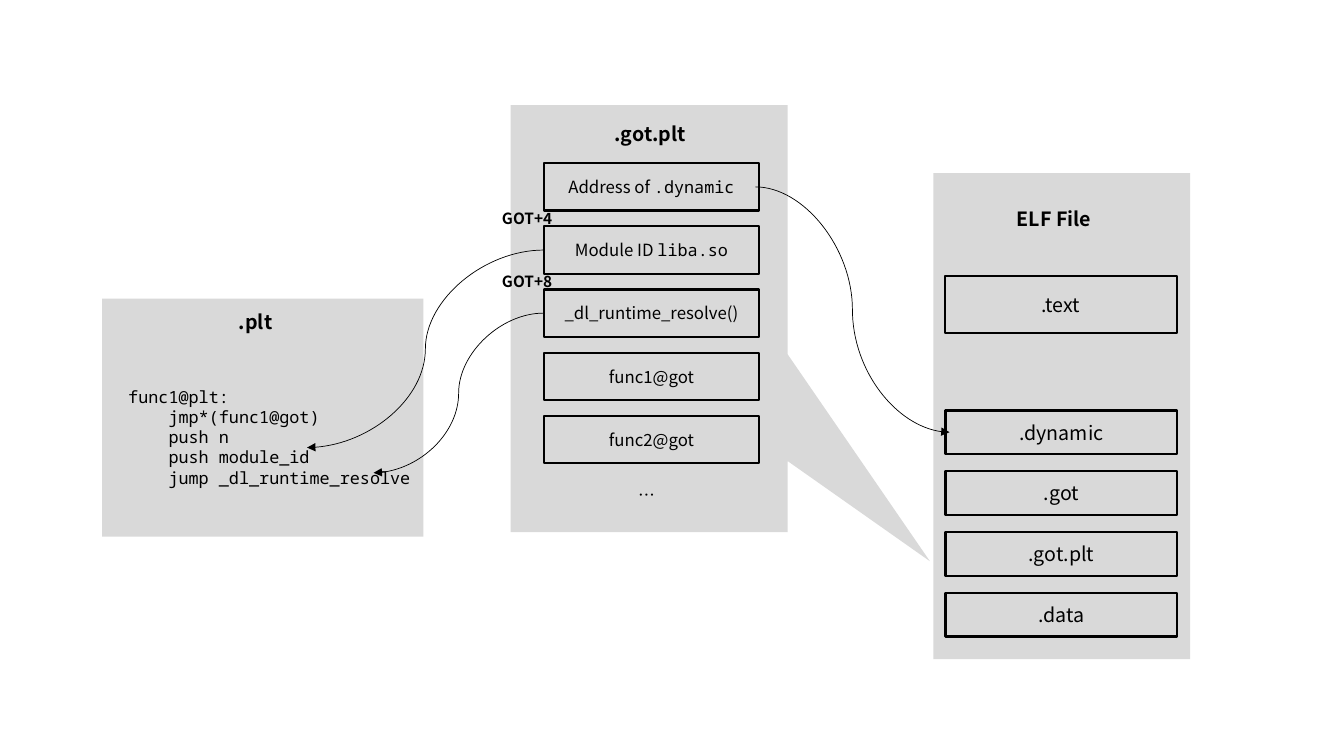
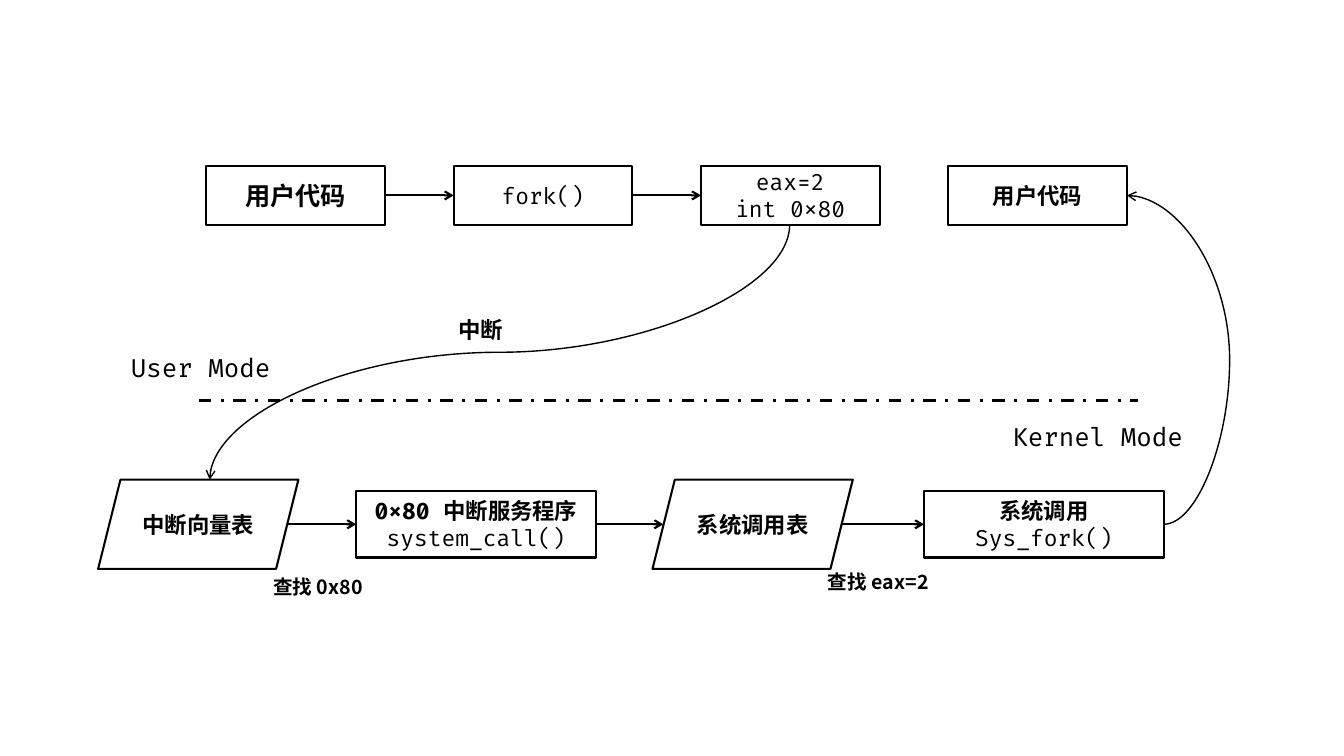
from dataclasses import dataclass

from lxml import etree
from pptx import Presentation
from pptx.dml.color import RGBColor
from pptx.enum.dml import MSO_LINE
from pptx.enum.shapes import MSO_CONNECTOR, MSO_SHAPE
from pptx.enum.text import MSO_ANCHOR, PP_ALIGN
from pptx.oxml.ns import qn
from pptx.util import Inches, Pt

WIDTH, HEIGHT = 13.33, 7.5
COL, ROW = WIDTH / 100, HEIGHT / 100  # a grid of 100 columns and 100 rows

BLACK = RGBColor(0, 0, 0)
GREY = RGBColor(0xD9, 0xD9, 0xD9)
SANS, MONO, CODE = "Noto Sans CJK SC", "Noto Sans Mono", "Fira Code"

RECT, SLANT = MSO_SHAPE.RECTANGLE, MSO_SHAPE.PARALLELOGRAM
CALLOUT = MSO_SHAPE.RECTANGULAR_CALLOUT
LINE, CURVE = MSO_CONNECTOR.STRAIGHT, MSO_CONNECTOR.CURVE
LEFT, CENTER = PP_ALIGN.LEFT, PP_ALIGN.CENTER
TOP, MIDDLE = MSO_ANCHOR.TOP, MSO_ANCHOR.MIDDLE
DASH = MSO_LINE.DASH_DOT


@dataclass(frozen=True)
class Box:
    """A frame in columns and rows."""
    x: float
    y: float
    w: float
    h: float

    @property
    def right(self) -> float:
        return self.x + self.w

    @property
    def mid(self) -> float:
        return self.y + self.h / 2

    def frame(self) -> tuple:
        return (Inches(self.x * COL), Inches(self.y * ROW),
                Inches(self.w * COL), Inches(self.h * ROW))


@dataclass(frozen=True)
class Run:
    """A piece of a line; None takes the format of the whole text."""
    text: str
    font: str | None = None
    bold: bool | None = None


@dataclass(frozen=True)
class Label:
    text: str
    box: Box
    size: float
    font: str = SANS
    bold: bool = True
    align: PP_ALIGN = CENTER


@dataclass(frozen=True)
class Step:
    """A box of the call flow; each line is a row of runs."""
    lines: tuple
    box: Box
    size: float = 16
    font: str = CODE
    bold: bool = False
    kind: MSO_SHAPE = RECT


def write(frame, lines, *, size: float, font: str = SANS, bold: bool = False,
          align: PP_ALIGN = CENTER, anchor: MSO_ANCHOR = TOP) -> None:
    """Fill a frame from a plain string or from rows of runs."""
    if isinstance(lines, str):
        lines = [(Run(line),) for line in lines.split("\n")]
    frame.word_wrap = True
    frame.vertical_anchor = anchor
    for i, line in enumerate(lines):
        para = frame.add_paragraph() if i else frame.paragraphs[0]
        para.alignment = align
        for part in line:
            run = para.add_run()
            run.text = part.text
            run.font.size = Pt(size)
            run.font.bold = bold if part.bold is None else part.bold
            run.font.color.rgb = BLACK
            run.font.name = part.font or font
            props = run._r.get_or_add_rPr()
            etree.SubElement(props, qn("a:ea"), typeface=SANS)


def label(slide, item: Label) -> None:
    box = slide.shapes.add_textbox(*item.box.frame())
    write(box.text_frame, item.text, size=item.size, font=item.font,
          bold=item.bold, align=item.align)


def panel(slide, box: Box, kind: MSO_SHAPE = RECT):
    """Draw a grey ground without an outline."""
    shape = slide.shapes.add_shape(kind, *box.frame())
    shape.shadow.inherit = False
    shape.fill.solid()
    shape.fill.fore_color.rgb = GREY
    shape.line.fill.background()
    return shape


def cell(slide, box: Box, lines, kind: MSO_SHAPE = RECT, **form) -> None:
    """Draw an outlined box with centred text."""
    shape = slide.shapes.add_shape(kind, *box.frame())
    shape.shadow.inherit = False
    shape.fill.background()
    shape.line.color.rgb = BLACK
    shape.line.width = Pt(1.5)
    write(shape.text_frame, lines, anchor=MIDDLE, **form)


def link(slide, start: tuple, end: tuple, *, kind: MSO_CONNECTOR = LINE,
         width: float = 1.5, head: str | None = "arrow", dash=None,
         bend: float | None = None, turn: bool = False) -> None:
    """Join two grid points; turn makes a curve leave downwards to the left."""
    ax, ay, bx, by = (start[0] * COL, start[1] * ROW,
                      end[0] * COL, end[1] * ROW)
    if turn:
        mx, my = (ax + bx) / 2, (ay + by) / 2
        dx, dy = (by - ay) / 2, (ax - bx) / 2
        ax, ay, bx, by = mx - dx, my - dy, mx + dx, my + dy
    line = slide.shapes.add_connector(kind, *map(Inches, (ax, ay, bx, by)))
    line.line.color.rgb = BLACK
    line.line.width = Pt(width)
    if dash:
        line.line.dash_style = dash
    props = line._element.spPr
    if head:
        etree.SubElement(props.find(qn("a:ln")), qn("a:tailEnd"), type=head)
    etree.SubElement(props, qn("a:effectLst"))
    if turn:
        props.find(qn("a:xfrm")).set("rot", str(90 * 60000))
    if bend is not None:
        guide = props.find(qn("a:prstGeom")).get_or_add_avLst()
        etree.SubElement(guide, qn("a:gd"), name="adj1",
                         fmla=f"val {round(bend * 100000)}")


def tables(slide) -> None:
    """Lazy binding: .plt, .got.plt and the ELF file."""
    panel(slide, Box(7.6, 39.5, 23.9, 31.5))
    got = panel(slide, Box(38, 13.9, 20.6, 56.5), CALLOUT)
    got.adjustments[0], got.adjustments[1] = 1.014, 0.568
    panel(slide, Box(69.45, 22.9, 19.1, 64.3))

    for text, x, y in ((".plt", 12.8, 40.3), (".got.plt", 42.15, 15.5),
                       ("ELF File", 72.2, 26.7)):
        label(slide, Label(text, Box(x, y, 12.45, 4.5), 14))

    parts = [Box(70.35, 54.3 + 8.05 * i, 17.25, 5.75) for i in range(4)]
    cell(slide, Box(70.3, 36.5, 17.25, 7.5), ".text", size=14)
    for box, text in zip(parts, (".dynamic", ".got", ".got.plt", ".data")):
        cell(slide, box, text, size=14)

    slots = [Box(40.45, 21.6 + 8.35 * i, 16.05, 6.25) for i in range(5)]
    rows = ([(Run("Address of "), Run(".dynamic", MONO))],
            [(Run("Module ID "), Run("liba.so", MONO))],
            "_dl_runtime_resolve()", "func1@got", "func2@got")
    for box, text in zip(slots, rows):
        cell(slide, box, text, size=12)
    for box, text in zip(slots[1:], ("GOT+4", "GOT+8")):
        label(slide, Label(text, Box(33, box.y - 2.9, 12.45, 3.9), 11))
    label(slide, Label("…", Box(40.4, 63.5, 15.4, 4), 12, bold=False))

    code = """func1@plt:
    jmp*(func1@got)
    push n
    push module_id
    jump _dl_runtime_resolve"""
    label(slide, Label(code, Box(8.8, 50.5, 23.2, 14.8), 12, MONO,
                       False, LEFT))

    for start, end in (((56.2, slots[0].mid), (70.65, parts[0].mid)),
                       ((40.45, slots[1].mid), (22.85, 59.2)),
                       ((40.45, slots[2].mid), (27.8, 62.55))):
        link(slide, start, end, kind=CURVE, width=0.5, head="triangle")


def calls(slide) -> None:
    """System call: from user mode to kernel mode and back."""
    tops = [Box(15.35 + 18.4 * i, 21.95, 13.3, 7.8) for i in range(4)]
    mid = 69.35
    spans = ((7.3, 14.9, 11.8), (26.5, 17.85, 8.8),
             (48.55, 14.9, 11.8), (68.75, 17.85, 8.8))
    lows = [Box(x, mid - h / 2, w, h) for x, w, h in spans]
    steps = (
        Step("用户代码", tops[0], 18, MONO, True),
        Step("fork()", tops[1]),
        Step("eax=2\nint 0x80", tops[2]),
        Step("用户代码", tops[3], bold=True),
        Step("中断向量表", lows[0], font=MONO, bold=True, kind=SLANT),
        Step(((Run("0x80 中断服务程序", bold=True),),
              (Run("system_call()"),)), lows[1]),
        Step("系统调用表", lows[2], font=MONO, bold=True, kind=SLANT),
        Step(((Run("系统调用", bold=True),), (Run("Sys_fork()"),)), lows[3]),
    )
    for step in steps:
        cell(slide, step.box, step.lines, step.kind, size=step.size,
             font=step.font, bold=step.bold)

    for a, b in zip(tops[:2], tops[1:]):
        link(slide, (a.right, a.mid), (b.x, b.mid))
    slope = 0.8  # half the lean of a slanted box
    for i, (a, b) in enumerate(zip(lows, lows[1:])):
        out, into = (0, slope) if i % 2 else (-slope, 0)
        link(slide, (a.right + out, mid), (b.x + into, mid))

    link(slide, (14.8, 52.95), (84.7, 52.95), width=2.25, head=None, dash=DASH)
    link(slide, (58.75, 29.75), (15.6, lows[0].y), kind=CURVE, width=1,
         turn=True)
    link(slide, (lows[3].right, mid), (tops[3].right, tops[3].mid),
         kind=CURVE, width=1, bend=-1.78)

    for item in (
        Label("User Mode", Box(9, 45.9, 13.3, 5.3), 18, CODE, False, LEFT),
        Label("Kernel Mode", Box(74.6, 55.1, 15.3, 5.3), 18, CODE, False, LEFT),
        Label("中断", Box(31.2, 41.2, 9.1, 4.9), 16),
        Label("查找 0x80", Box(19.1, 75.35, 9.1, 4.5), 14),
        Label("查找 eax=2", Box(60.8, 74.7, 9.1, 4.5), 14),
    ):
        label(slide, item)


def main() -> None:
    deck = Presentation()
    deck.slide_width, deck.slide_height = Inches(WIDTH), Inches(HEIGHT)
    blank = deck.slide_layouts[6]
    for draw in (tables, calls):
        draw(deck.slides.add_slide(blank))
    deck.save("out.pptx")


if __name__ == "__main__":
    main()
